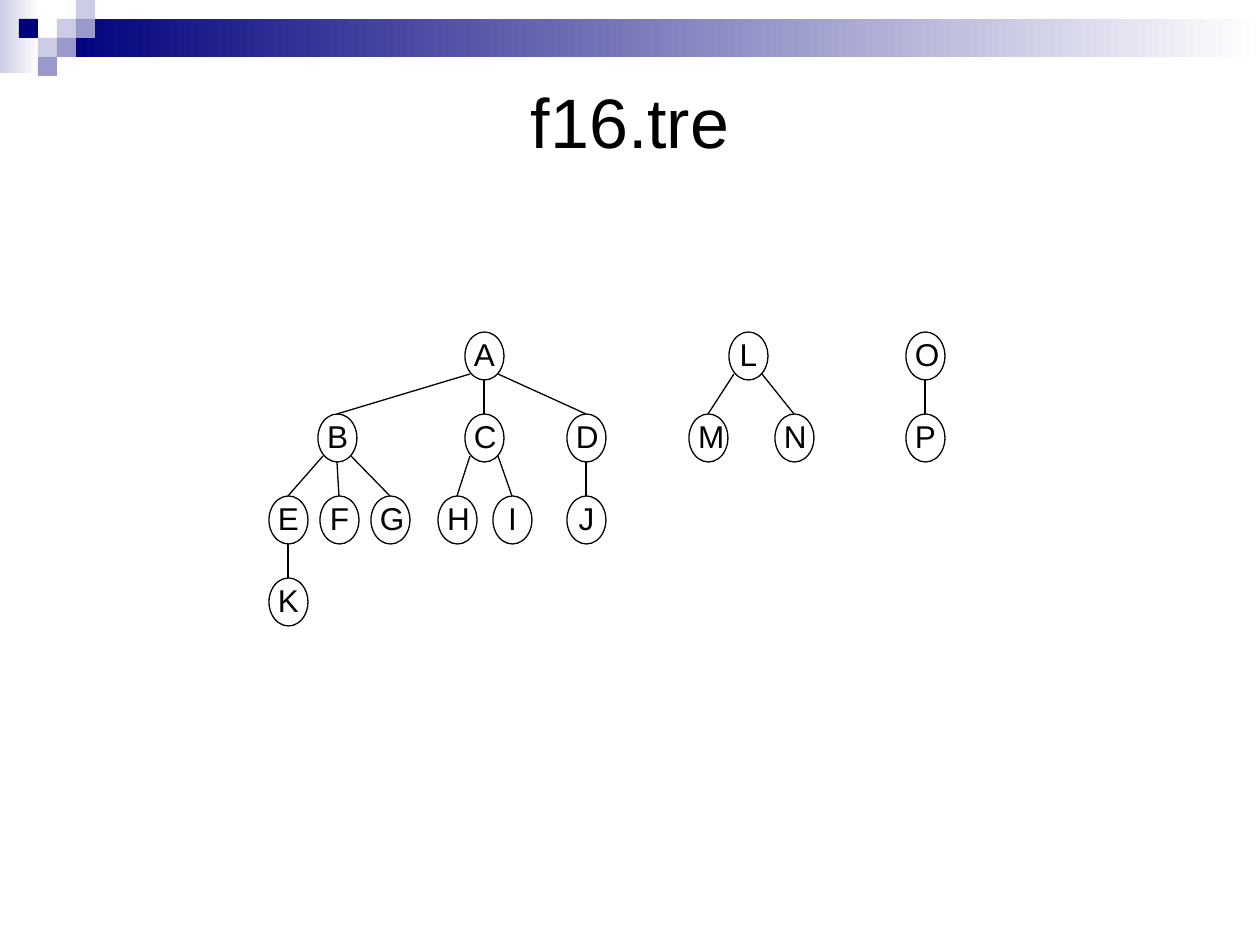
import dataclasses
import typing

import lxml.etree
import pptx
import pptx.dml.color
import pptx.enum.shapes
import pptx.enum.text
import pptx.oxml.ns
import pptx.util

EMU_PER_PX = 914400 / 126
SHAPES = pptx.enum.shapes.MSO_SHAPE
CELL = 19
NODE_WIDTH, NODE_HEIGHT = 39, 48
LABEL_WIDTH, LABEL_HEIGHT, LABEL_DROP = 21, 39, 3
FOREST_TOP, LEVEL_STEP = 332, 82
SIDE_REACH, SIDE_DROP = 14, 42
STRAIGHT_LIMIT = 5


@dataclasses.dataclass(frozen=True)
class Theme:
    ink: str = "000000"
    paper: str = "FFFFFF"
    navy: str = "00007D"
    lavender: str = "CCCCE6"
    periwinkle: str = "9999CC"
    font: str = "Arial"
    title_size: int = 40
    label_size: int = 18
    line_width: float = 0.75


class Node(typing.NamedTuple):
    label: str
    center: int
    level: int
    parent: str = ""

    @property
    def top(self) -> int:
        return FOREST_TOP + LEVEL_STEP * self.level


class Block(typing.NamedTuple):
    left: int
    top: int
    width: int
    height: int
    color: str
    fades: bool = False


class Tile(typing.NamedTuple):
    column: int
    row: int
    color: str


THEME = Theme()
FADES = [
    Block(0, 0, 39, 73, THEME.lavender, True),
    Block(3 * CELL, CELL, 1260 - 3 * CELL, 2 * CELL, THEME.navy, True),
]
TILES = [
    Tile(3, 1, THEME.lavender),
    Tile(4, 0, THEME.lavender),
    Tile(4, 1, THEME.periwinkle),
    Tile(2, 2, THEME.lavender),
    Tile(1, 1, THEME.navy),
    Tile(3, 2, THEME.periwinkle),
    Tile(2, 3, THEME.periwinkle),
]
FOREST = [
    Node("A", 484, 0),
    Node("B", 337, 1, "A"),
    Node("C", 484, 1, "A"),
    Node("D", 586, 1, "A"),
    Node("E", 288, 2, "B"),
    Node("F", 339, 2, "B"),
    Node("G", 390, 2, "B"),
    Node("H", 457, 2, "C"),
    Node("I", 512, 2, "C"),
    Node("J", 586, 2, "D"),
    Node("K", 288, 3, "E"),
    Node("L", 748, 0),
    Node("M", 708, 1, "L"),
    Node("N", 794, 1, "L"),
    Node("O", 925, 0),
    Node("P", 925, 1, "O"),
]


def px(*lengths: int) -> list[pptx.util.Emu]:
    return [pptx.util.Emu(round(length * EMU_PER_PX)) for length in lengths]


def rgb(color: str) -> pptx.dml.color.RGBColor:
    return pptx.dml.color.RGBColor.from_string(color)


def write(frame, text: str, *, size: int, color: str = THEME.ink,
          anchor=pptx.enum.text.MSO_ANCHOR.TOP,
          inset_x: int = 0, inset_y: int = 0) -> None:
    frame.text = text
    frame.word_wrap = True
    frame.auto_size = pptx.enum.text.MSO_AUTO_SIZE.NONE
    frame.vertical_anchor = anchor
    frame.margin_left, frame.margin_right = px(inset_x, inset_x)
    frame.margin_top, frame.margin_bottom = px(inset_y, inset_y)
    paragraph = frame.paragraphs[0]
    paragraph.alignment = pptx.enum.text.PP_ALIGN.CENTER
    font = paragraph.runs[0].font
    font.name = THEME.font
    font.size = pptx.util.Pt(size)
    font.color.rgb = rgb(color)


def outline(line) -> None:
    line.color.rgb = rgb(THEME.ink)
    line.width = pptx.util.Pt(THEME.line_width)


def draw_block(slide, block: Block) -> None:
    panel = slide.shapes.add_shape(SHAPES.RECTANGLE, *px(*block[:4]))
    panel.shadow.inherit = False
    panel.line.fill.background()
    if block.fades:
        panel.fill.gradient()
        panel.fill.gradient_angle = 0
        for stop, color in zip(panel.fill.gradient_stops, (block.color, THEME.paper)):
            stop.color.rgb = rgb(color)
    else:
        panel.fill.solid()
        panel.fill.fore_color.rgb = rgb(block.color)


def draw_branch(slide, parent: Node, child: Node) -> None:
    shift = child.center - parent.center
    if abs(shift) <= STRAIGHT_LIMIT:
        start = parent.center, parent.top + NODE_HEIGHT
    else:
        reach = SIDE_REACH if shift > 0 else -SIDE_REACH
        start = parent.center + reach, parent.top + SIDE_DROP
    branch = slide.shapes.add_connector(
        pptx.enum.shapes.MSO_CONNECTOR.STRAIGHT, *px(*start, child.center, child.top))
    outline(branch.line)
    lxml.etree.SubElement(branch._element.spPr, pptx.oxml.ns.qn("a:effectLst"))


def draw_node(slide, node: Node) -> None:
    ring = slide.shapes.add_shape(
        SHAPES.OVAL,
        *px(node.center - NODE_WIDTH // 2, node.top, NODE_WIDTH, NODE_HEIGHT))
    ring.shadow.inherit = False
    ring.fill.background()
    outline(ring.line)
    label = slide.shapes.add_textbox(
        *px(node.center - LABEL_WIDTH // 2, node.top + LABEL_DROP,
            LABEL_WIDTH, LABEL_HEIGHT))
    write(label.text_frame, node.label, size=THEME.label_size)


def main() -> None:
    deck = pptx.Presentation()
    deck.slide_width, deck.slide_height = px(1260, 945)
    slide = deck.slides.add_slide(deck.slide_layouts[5])

    for block in FADES:
        draw_block(slide, block)
    for tile in TILES:
        draw_block(slide, Block(tile.column * CELL, tile.row * CELL, CELL, CELL, tile.color))

    heading = slide.shapes.title
    heading.left, heading.top, heading.width, heading.height = px(63, 63, 1134, 116)
    write(heading.text_frame, "f16.tre", size=THEME.title_size,
          anchor=pptx.enum.text.MSO_ANCHOR.MIDDLE, inset_x=13, inset_y=6)

    by_label = {node.label: node for node in FOREST}
    for node in FOREST:
        if node.parent:
            draw_branch(slide, by_label[node.parent], node)
        draw_node(slide, node)

    deck.save("out.pptx")


if __name__ == "__main__":
    main()
